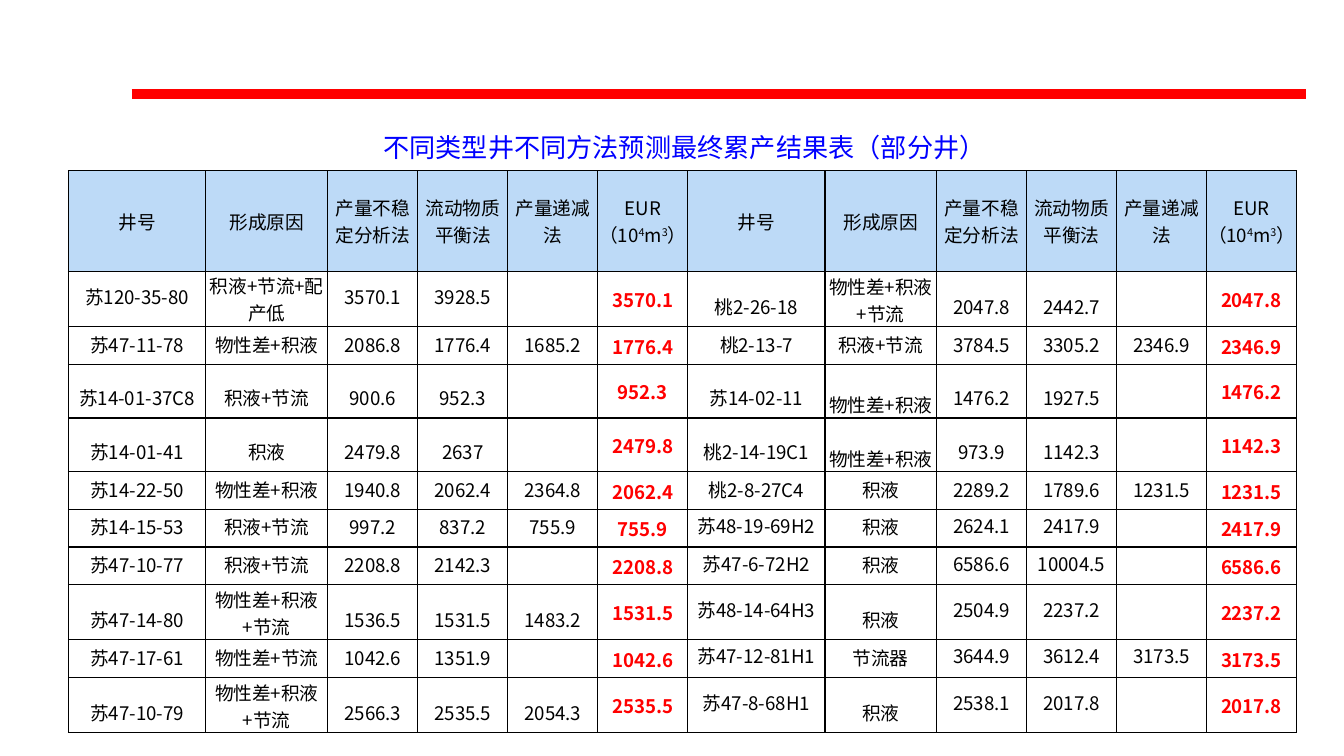
from lxml import etree
from pptx import Presentation
from pptx import util as u
from pptx.dml.color import RGBColor
from pptx.enum import shapes, text
from pptx.oxml import ns

BLACK = RGBColor(0x00, 0x00, 0x00)
WHITE = RGBColor(0xFF, 0xFF, 0xFF)
RED = RGBColor(0xFF, 0x00, 0x00)
BLUE = RGBColor(0x00, 0x00, 0xFF)
HEADER_BLUE = RGBColor(0xBD, 0xDA, 0xF7)
TABLE_FONT = "Noto Sans CJK SC"
TITLE_FONT = "Noto Sans CJK JP"

HEADERS = ["井号", "形成原因", "产量不稳定分析法", "流动物质平衡法", "产量递减法"]
EUR_SPANS = [("EUR（10", False), ("4", True), ("m", False), ("3", True), ("） ", False)]
BLOCK = len(HEADERS) + 1
REASON = 1
EUR = BLOCK - 1
LEFT_WELLS = [
    ("苏120-35-80", "积液+节流+配产低", "3570.1", "3928.5", "", "3570.1"),
    ("苏47-11-78", "物性差+积液", "2086.8", "1776.4", "1685.2", "1776.4"),
    ("苏14-01-37C8", "积液+节流", "900.6", "952.3", "", "952.3"),
    ("苏14-01-41", "积液", "2479.8", "2637", "", "2479.8"),
    ("苏14-22-50", "物性差+积液", "1940.8", "2062.4", "2364.8", "2062.4"),
    ("苏14-15-53", "积液+节流", "997.2", "837.2", "755.9", "755.9"),
    ("苏47-10-77", "积液+节流", "2208.8", "2142.3", "", "2208.8"),
    ("苏47-14-80", "物性差+积液+节流", "1536.5", "1531.5", "1483.2", "1531.5"),
    ("苏47-17-61", "物性差+节流", "1042.6", "1351.9", "", "1042.6"),
    ("苏47-10-79", "物性差+积液+节流", "2566.3", "2535.5", "2054.3", "2535.5"),
]
RIGHT_WELLS = [
    ("桃2-26-18", "物性差+积液+节流", "2047.8", "2442.7", "", "2047.8"),
    ("桃2-13-7", "积液+节流", "3784.5", "3305.2", "2346.9", "2346.9"),
    ("苏14-02-11", "物性差+积液", "1476.2", "1927.5", "", "1476.2"),
    ("桃2-14-19C1", "物性差+积液", "973.9", "1142.3", "", "1142.3"),
    ("桃2-8-27C4", "积液", "2289.2", "1789.6", "1231.5", "1231.5"),
    ("苏48-19-69H2", "积液", "2624.1", "2417.9", "", "2417.9"),
    ("苏47-6-72H2", "积液", "6586.6", "10004.5", "", "6586.6"),
    ("苏48-14-64H3", "积液", "2504.9", "2237.2", "", "2237.2"),
    ("苏47-12-81H1", "节流器", "3644.9", "3612.4", "3173.5", "3173.5"),
    ("苏47-8-68H1", "积液", "2538.1", "2017.8", "", "2017.8"),
]
COLUMN_WIDTHS = [1.02, 0.91] + [0.67] * 4 + [1.02, 0.83] + [0.67] * 4
HEADER_HEIGHT, ROW_HEIGHT, TALL_ROW_HEIGHT = 0.75, 0.28, 0.41
TALL_ROWS = {1, 8, 10}


def style_paragraph(para, font, size, color, bold=False):
    para.alignment = text.PP_ALIGN.CENTER
    para.font.size = u.Pt(size)
    para.font.bold = bold
    para.font.color.rgb = color
    para.font.name = font
    defaults = para._p.pPr.find(ns.qn("a:defRPr"))
    etree.SubElement(defaults, ns.qn("a:ea"), typeface=font)
    if not para.runs:
        etree.SubElement(para._p, ns.qn("a:endParaRPr"), sz=str(size * 100))


def add_borders(cell):
    properties = cell._tc.get_or_add_tcPr()
    for index, side in enumerate(("lnL", "lnR", "lnT", "lnB")):
        line = etree.Element(ns.qn(f"a:{side}"), w=str(u.Pt(0.75)))
        fill = etree.SubElement(line, ns.qn("a:solidFill"))
        etree.SubElement(fill, ns.qn("a:srgbClr"), val=str(BLACK))
        properties.insert(index, line)


def style_cell(cell, fill, anchor, margins):
    cell.fill.solid()
    cell.fill.fore_color.rgb = fill
    cell.vertical_anchor = anchor
    (cell.margin_left, cell.margin_top,
     cell.margin_right, cell.margin_bottom) = [u.Inches(m) for m in margins]
    add_borders(cell)


def fill_header(cell, column):
    para = cell.text_frame.paragraphs[0]
    spans = EUR_SPANS if column == EUR else [(HEADERS[column], False)]
    for content, raised in spans:
        span = para.add_run()
        span.text = content
        if raised:
            span.font._element.set("baseline", "30000")
    style_paragraph(para, TABLE_FONT, 10, BLACK)
    style_cell(cell, HEADER_BLUE, text.MSO_ANCHOR.MIDDLE, (0, 0, 0, 0))


def fill_well(cell, value, row, column, is_left):
    is_eur = column == EUR
    para = cell.text_frame.paragraphs[0]
    if value:
        para.add_run().text = value
    style_paragraph(para, TABLE_FONT, 10, RED if is_eur else BLACK, is_eur)
    first_left = is_left and row == 1
    lower_right = not is_left and row >= 6 and column != REASON
    centred = is_eur or first_left or lower_right
    anchor = text.MSO_ANCHOR.MIDDLE if centred else text.MSO_ANCHOR.BOTTOM
    wraps = column == REASON and len(value) > (6 if is_left else 5)
    top = 0 if wraps else 0.01
    bottom = 0 if is_eur or wraps else 0.05
    style_cell(cell, WHITE, anchor, (0.01, top, 0.01, bottom))


def add_rule(page, left, top, width):
    rule = page.shapes.add_connector(
        shapes.MSO_CONNECTOR.STRAIGHT,
        u.Inches(left), u.Inches(top), u.Inches(left + width), u.Inches(top))
    rule.line.color.rgb = RED
    rule.line.width = u.Pt(5.25)
    etree.SubElement(rule._element.spPr, ns.qn("a:effectLst"))


def add_title(page, left, top, width, height):
    box = page.shapes.add_textbox(*map(u.Inches, (left, top, width, height)))
    box.text_frame.word_wrap = True
    box.text_frame.auto_size = text.MSO_AUTO_SIZE.SHAPE_TO_FIT_TEXT
    para = box.text_frame.paragraphs[0]
    para.add_run().text = "不同类型井不同方法预测最终累产结果表（部分井）"
    style_paragraph(para, TITLE_FONT, 14, BLUE)


def add_well_table(page, left, top, width, height):
    table = page.shapes.add_table(
        len(LEFT_WELLS) + 1, 2 * BLOCK,
        *map(u.Inches, (left, top, width, height))).table
    table.first_row = False
    table.horz_banding = False
    for column, column_width in zip(table.columns, COLUMN_WIDTHS):
        column.width = u.Inches(column_width)
    for index, row in enumerate(table.rows):
        body_height = TALL_ROW_HEIGHT if index in TALL_ROWS else ROW_HEIGHT
        row.height = u.Inches(body_height if index else HEADER_HEIGHT)
    for offset, wells in ((0, LEFT_WELLS), (BLOCK, RIGHT_WELLS)):
        for column in range(BLOCK):
            fill_header(table.cell(0, offset + column), column)
            for row, well in enumerate(wells, 1):
                fill_well(table.cell(row, offset + column), well[column],
                          row, column, offset == 0)


def main():
    deck = Presentation()
    deck.slide_width = u.Inches(10)
    deck.slide_height = deck.slide_width * 9 // 16
    page = deck.slides.add_slide(deck.slide_layouts[6])
    add_rule(page, 0.98, 0.7, 8.74)
    add_well_table(page, 0.51, 1.27, 9.13, 3.94)
    add_title(page, 0.54, 0.93, 9.11, 0.34)
    deck.save("out.pptx")


if __name__ == "__main__":
    main()
